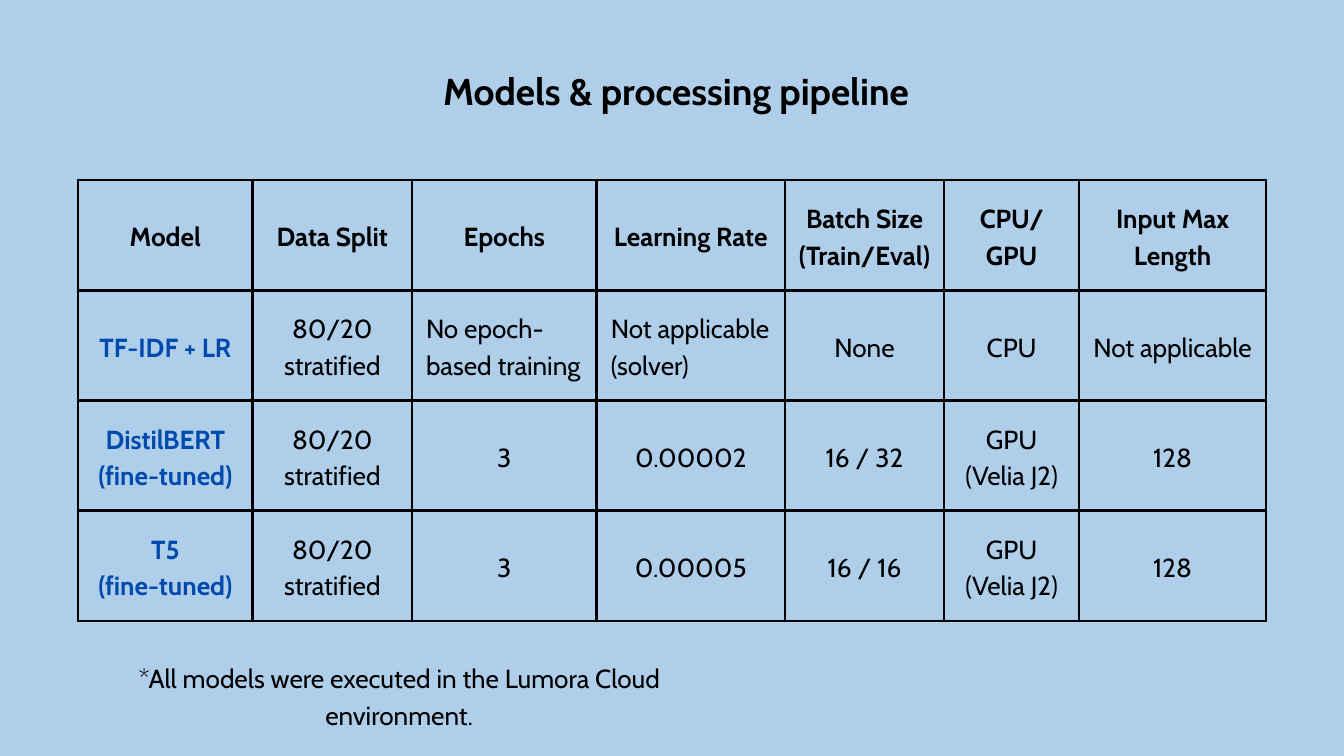
from lxml.etree import SubElement
from pptx import Presentation
from pptx.dml.color import RGBColor
from pptx.enum.text import MSO_ANCHOR as Anchor, PP_ALIGN as Align
from pptx.oxml.ns import qn
from pptx.util import Inches, Pt

BLACK, BLUE, SKY = "000000", "004AAD", "AECEE9"
COLUMN_WIDTHS = [2.6, 2.37, 2.75, 2.8, 2.37, 2.01, 2.78]
ROW_HEIGHT = 1.64
ROWS = [
    ["Model", "Data Split", "Epochs", "Learning Rate",
     "Batch Size (Train/Eval)", "CPU/GPU", "Input Max Length"],
    ["TF-IDF + LR", "80/20 stratified", "No epoch-based training",
     "Not applicable (solver)", "None", "CPU", "Not applicable"],
    ["DistilBERT (fine-tuned)", "80/20 stratified", "3", "0.00002",
     "16 / 32", "GPU\n(Velia J2)", "128"],
    ["T5\n(fine-tuned)", "80/20 stratified", "3", "0.00005",
     "16 / 16", "GPU\n(Velia J2)", "128"],
]
LEFT_ALIGNED = {(1, 2), (1, 3), (1, 6)}


def color(value):
    """Return the colour for a hex string."""
    return RGBColor.from_string(value)


def write_text(frame, text, size=28, fill=BLACK, bold=False,
               align=Align.CENTER, anchor=Anchor.TOP, margin=0):
    """Write one paragraph per line of text into a text frame or a cell."""
    frame.vertical_anchor = anchor
    frame.margin_left = frame.margin_right = Inches(margin)
    frame.margin_top = frame.margin_bottom = Inches(margin)
    body = getattr(frame, "text_frame", frame)
    body.word_wrap = True
    body.text = text
    for paragraph in body.paragraphs:
        paragraph.alignment = align
        paragraph.line_spacing = Pt(size * 1.4)
        paragraph.space_before = Pt(0)
        font = paragraph.runs[0].font
        font.name, font.size, font.bold = "Cabin", Pt(size), bold
        font.color.rgb = color(fill)


def add_borders(cell, width=3):
    """Draw a solid line on all four sides of a cell."""
    properties = cell._tc.get_or_add_tcPr()
    for index, side in enumerate(("lnL", "lnR", "lnT", "lnB")):
        line = SubElement(properties, qn(f"a:{side}"), w=str(Pt(width)))
        solid = SubElement(line, qn("a:solidFill"))
        SubElement(solid, qn("a:srgbClr"), val=BLACK)
        properties.insert(index, line)


def add_title(slide, left, top, width, height):
    """Place and format the title placeholder."""
    title = slide.shapes.title
    title.left, title.top = Inches(left), Inches(top)
    title.width, title.height = Inches(width), Inches(height)
    write_text(title.text_frame, "Models & processing pipeline", size=40, bold=True)


def add_model_table(slide, left, top):
    """Add the table of models and their training settings."""
    table = slide.shapes.add_table(
        len(ROWS), len(COLUMN_WIDTHS), Inches(left), Inches(top),
        Inches(sum(COLUMN_WIDTHS)), Inches(ROW_HEIGHT * len(ROWS))).table
    table.first_row = table.horz_banding = False
    for column, width in zip(table.columns, COLUMN_WIDTHS):
        column.width = Inches(width)
    for row_index, values in enumerate(ROWS):
        table.rows[row_index].height = Inches(ROW_HEIGHT)
        for column_index, text in enumerate(values):
            cell = table.cell(row_index, column_index)
            is_header, is_model = row_index == 0, column_index == 0
            is_left = (row_index, column_index) in LEFT_ALIGNED
            write_text(cell, text, bold=is_header or is_model,
                       fill=BLUE if is_model and not is_header else BLACK,
                       align=Align.LEFT if is_left else Align.CENTER,
                       anchor=Anchor.MIDDLE, margin=0.21)
            cell.fill.background()
            add_borders(cell)


def add_footnote(slide, left, top, width, height):
    """Add the note on the runtime environment."""
    box = slide.shapes.add_textbox(
        Inches(left), Inches(top), Inches(width), Inches(height))
    write_text(box.text_frame,
               "*All models were executed in the Lumora Cloud environment.")


def main():
    """Build the slide and save it."""
    presentation = Presentation()
    presentation.slide_width = Inches(20)
    presentation.slide_height = Inches(11.25)
    slide = presentation.slides.add_slide(presentation.slide_layouts[5])
    slide.background.fill.solid()
    slide.background.fill.fore_color.rgb = color(SKY)
    add_title(slide, 6.33, 0.91, 7.46, 0.74)
    add_model_table(slide, 1.16, 2.68)
    add_footnote(slide, 1.12, 9.78, 9.64, 0.58)
    presentation.save("out.pptx")


if __name__ == "__main__":
    main()
